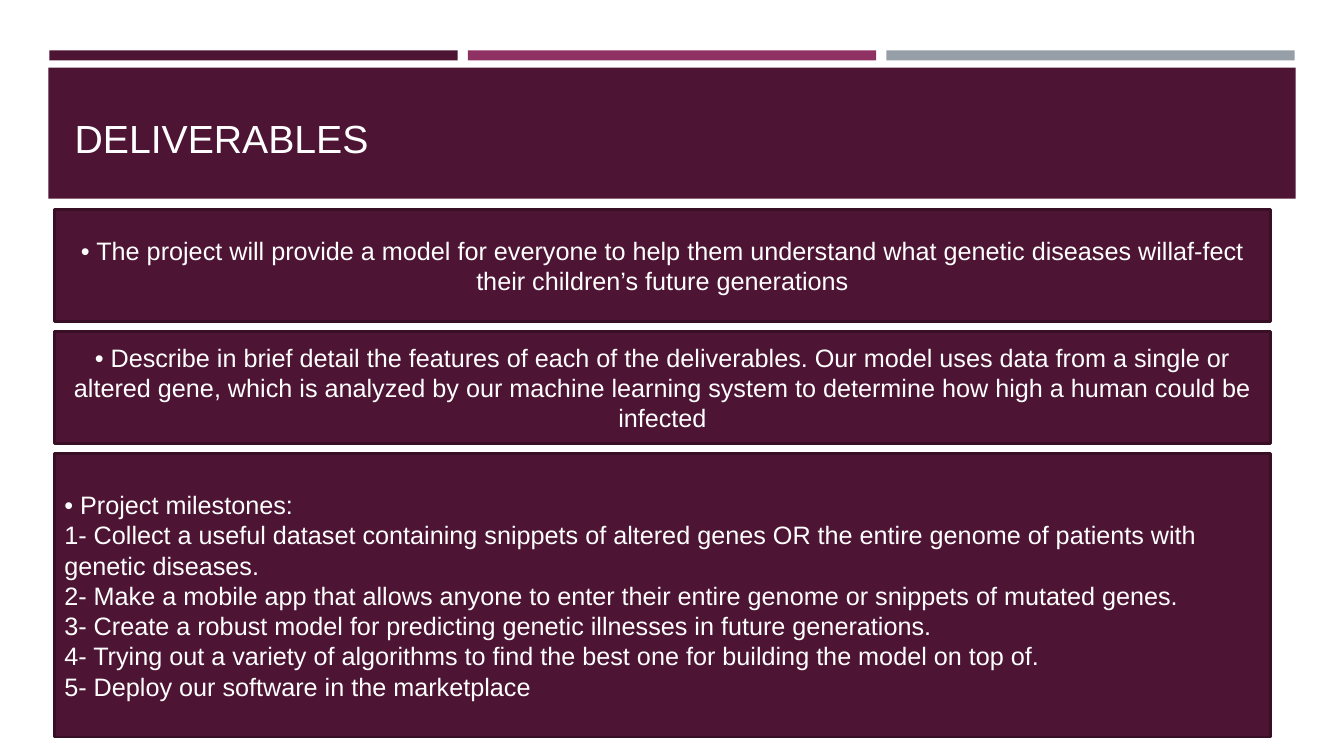
from pptx import Presentation
from pptx.dml.color import RGBColor
from pptx.enum.shapes import MSO_SHAPE as Shape
from pptx.enum.text import MSO_ANCHOR as Anchor, MSO_AUTO_SIZE as AutoSize, PP_ALIGN as Align
from pptx.util import Inches, Pt

PLUM, PLUM_EDGE, MAGENTA, GREY, WHITE = "4D1434", "390F26", "903163", "969FA7", "FFFFFF"
FONT = "Arial"
CARD_LEFT, CARD_WIDTH, CARD_TOP, ROW, GAP = 0.54, 12.06, 2.08, 1.11, 0.1

STATEMENTS = [
    "• The project will provide a model for everyone to help them understand what "
    "genetic diseases willaf-fect their children’s future generations",
    "• Describe in brief detail the features of each of the deliverables. Our model uses "
    "data from a single or altered gene, which is analyzed by our machine learning system "
    "to determine how high a human could be infected",
]
MILESTONES = [
    "• Project milestones:\n"
    "1- Collect a useful dataset containing snippets of altered genes OR the entire genome "
    "of patients with genetic diseases.\n"
    "2- Make a mobile app that allows anyone to enter their entire genome or snippets of "
    "mutated genes.",
    "3- Create a robust model for predicting genetic illnesses in future generations.\n"
    "4- Trying out a variety of algorithms to find the best one for building the model on "
    "top of.\n"
    "5- Deploy our software in the marketplace",
]


def color(hex_code):
    """Turn a hex string into a colour."""
    return RGBColor.from_string(hex_code)


def write(shape, paragraphs, size=18, align=Align.LEFT, anchor=Anchor.MIDDLE):
    """Fill a shape with formatted paragraphs."""
    frame = shape.text_frame
    frame.word_wrap = True
    frame.auto_size = AutoSize.NONE
    frame.vertical_anchor = anchor
    for index, words in enumerate(paragraphs):
        paragraph = frame.add_paragraph() if index else frame.paragraphs[0]
        paragraph.text = words
        paragraph.alignment = align
        for run in paragraph.runs:
            run.font.name = FONT
            run.font.size = Pt(size)
            run.font.color.rgb = color(WHITE)


def panel(slide, box, fill, edge=None):
    """Draw a flat rectangle, with an outline if an edge colour is given."""
    rect = slide.shapes.add_shape(Shape.RECTANGLE, *map(Inches, box))
    rect.shadow.inherit = False
    rect.fill.solid()
    rect.fill.fore_color.rgb = color(fill)
    if edge:
        rect.line.color.rgb = color(edge)
        rect.line.width = Pt(1.75)
    else:
        rect.line.fill.background()
    return rect


def accent_strip(slide, left, top, width, height):
    """Draw three equal accent bars across the box."""
    bar = (width - 2 * GAP) / 3
    for column, fill in enumerate((PLUM, MAGENTA, GREY)):
        panel(slide, (left + column * (bar + GAP), top, bar, height), fill)


def title_banner(slide, left, top, width, height):
    """Draw the banner and set the title on top of it."""
    panel(slide, (left, top, width, height), PLUM)
    title = slide.shapes.title
    title.left, title.top = Inches(left + 0.16), Inches(top - 0.13)
    title.width, title.height = Inches(CARD_WIDTH), Inches(ROW)
    title.element.getparent().append(title.element)
    write(title, ["DELIVERABLES"], size=28, anchor=Anchor.BOTTOM)


def deliverable_cards(slide, left, top, width, row):
    """Stack the statement cards and the taller milestone card."""
    step = row + GAP
    for index, statement in enumerate(STATEMENTS):
        card = panel(slide, (left, top + index * step, width, row), PLUM, PLUM_EDGE)
        write(card, [statement], align=Align.CENTER)
    milestone_top = top + len(STATEMENTS) * step
    card = panel(slide, (left, milestone_top, width, 2.81), PLUM, PLUM_EDGE)
    write(card, MILESTONES)


def main():
    """Build and save the deliverables slide."""
    deck = Presentation()
    deck.slide_width, deck.slide_height = Inches(13.33), Inches(7.5)
    slide = deck.slides.add_slide(deck.slide_layouts[5])
    accent_strip(slide, 0.49, 0.5, 12.35, 0.1)
    title_banner(slide, 0.48, 0.67, 12.37, 1.3)
    deliverable_cards(slide, CARD_LEFT, CARD_TOP, CARD_WIDTH, ROW)
    deck.save("out.pptx")


if __name__ == "__main__":
    main()
